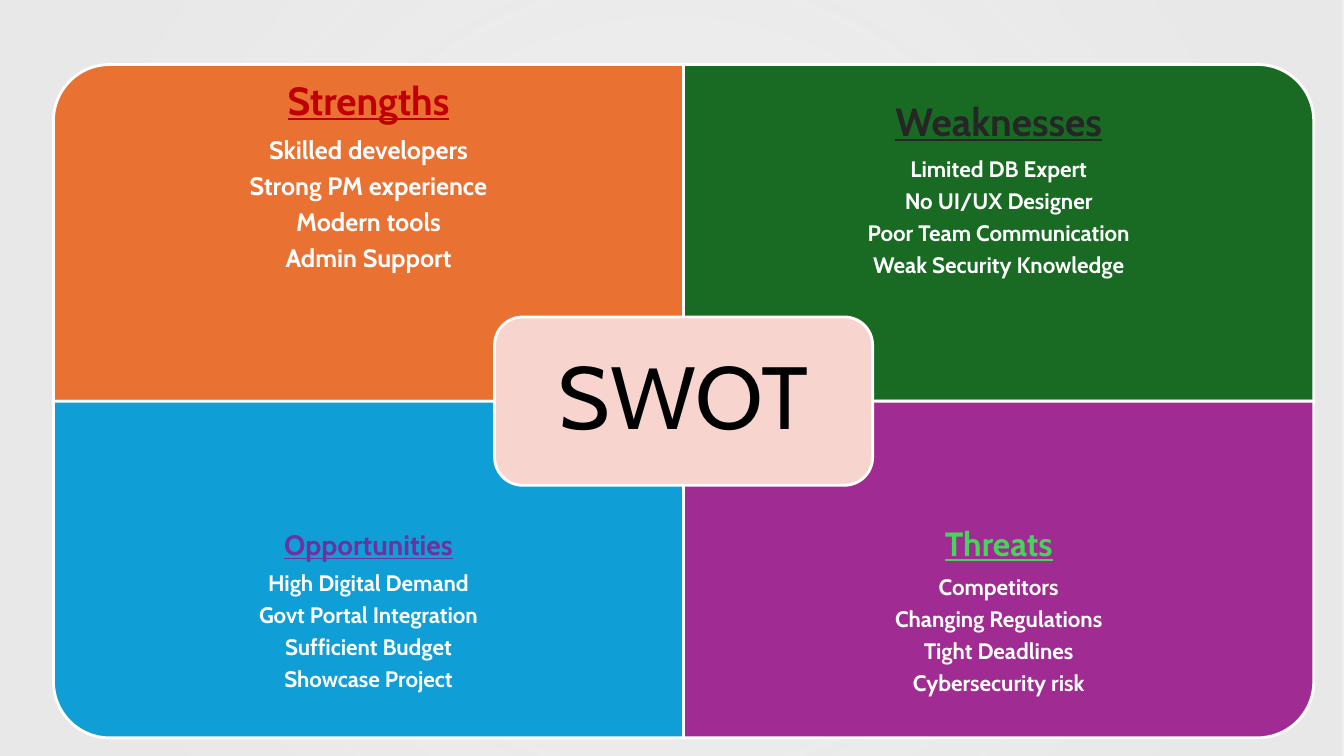
"""Build a SWOT matrix slide: four coloured quadrants around a central label."""
from dataclasses import dataclass

from lxml import etree
from pptx import Presentation
from pptx.dml.color import RGBColor
from pptx.enum.shapes import MSO_SHAPE
from pptx.enum.text import MSO_ANCHOR, PP_ALIGN
from pptx.oxml import parse_xml
from pptx.oxml.ns import qn
from pptx.shapes.autoshape import Shape
from pptx.slide import Slide
from pptx.text.text import TextFrame, _Paragraph
from pptx.util import Inches, Pt

RECT = MSO_SHAPE.RECTANGLE
ONE_ROUND = MSO_SHAPE.ROUND_1_RECTANGLE
ROUNDED = MSO_SHAPE.ROUNDED_RECTANGLE
CENTER = PP_ALIGN.CENTER
MIDDLE = MSO_ANCHOR.MIDDLE

SLIDE_W, SLIDE_H = 13.33, 7.5
LEFT, TOP = 0.53, 0.64
QUAD_W, QUAD_H = 6.25, 3.34
TEXT_H = 2.5
HUB_W, HUB_H = 3.75, 1.67


@dataclass(frozen=True)
class Theme:
    font: str = "Cabin"
    backdrop: str = "E8E8E8"
    line: str = "FFFFFF"
    body: str = "FFFFFF"
    hub: str = "F7D5CE"
    hub_text: str = "000000"
    hub_size: int = 63
    line_width: int = 2
    line_spacing: float = 0.9
    after_ratio: float = 0.35


@dataclass(frozen=True)
class Quadrant:
    col: int
    row: int
    rotation: int
    fill: str
    heading: str
    heading_color: str
    heading_size: int
    items: tuple[str, ...]
    item_size: int
    inset: float
    bottom_inset: float


THEME = Theme()

QUADRANTS = (
    Quadrant(0, 0, 270, "E97132", "Strengths", "C00000", 28,
             ("Skilled developers", "Strong PM experience", "Modern tools", "Admin Support"),
             18, 0.22, 0.49),
    Quadrant(1, 0, 0, "196B24", "Weaknesses", "262626", 28,
             ("Limited DB Expert", "No UI/UX Designer", "Poor Team Communication",
              "Weak Security Knowledge"),
             16, 0.22, 0.22),
    Quadrant(0, 1, 180, "0F9ED5", "Opportunities", "7030A0", 20,
             ("High Digital Demand", "Govt Portal Integration", "Sufficient Budget",
              "Showcase Project"),
             16, 0.16, 0.16),
    Quadrant(1, 1, 90, "A02B93", "Threats", "47D45A", 24,
             ("Competitors", "Changing Regulations", "Tight Deadlines", "Cybersecurity risk"),
             16, 0.19, 0.19),
)


def add_backdrop(s: Slide) -> None:
    """Cover the slide with a soft, translucent radial gradient."""
    sp = s.shapes.add_shape(RECT, 0, 0, Inches(SLIDE_W), Inches(SLIDE_H))
    sp.shadow.inherit = False
    sp.line.fill.background()
    sp.fill.gradient()
    grad = sp._element.spPr.find(qn("a:gradFill"))
    stops = "".join(
        f'<a:gs pos="{pos}000"><a:srgbClr val="{THEME.backdrop}">'
        f'<a:alpha val="{alpha}000"/></a:srgbClr></a:gs>'
        for pos, alpha in ((10, 68), (85, 97)))
    radial = parse_xml(
        '<a:gradFill xmlns:a="http://schemas.openxmlformats.org/drawingml/2006/main">'
        f'<a:gsLst>{stops}</a:gsLst><a:path path="circle">'
        '<a:fillToRect l="50000" t="50000" r="50000" b="50000"/></a:path></a:gradFill>')
    grad.getparent().replace(grad, radial)
    etree.cleanup_namespaces(radial)


def add_panel(s: Slide, kind: MSO_SHAPE, cx: float, cy: float, w: float, h: float,
              fill: str, rotation: int = 0) -> Shape:
    """Add an outlined panel centred on a point; w and h are its size as seen."""
    if rotation % 180:
        w, h = h, w
    sp = s.shapes.add_shape(kind, Inches(cx - w / 2), Inches(cy - h / 2), Inches(w), Inches(h))
    sp.rotation = rotation
    sp.shadow.inherit = False
    sp.fill.solid()
    sp.fill.fore_color.rgb = RGBColor.from_string(fill)
    sp.line.color.rgb = RGBColor.from_string(THEME.line)
    sp.line.width = Pt(THEME.line_width)
    return sp


def set_frame(tf: TextFrame, inset: float, bottom: float) -> None:
    """Wrap and vertically centre the text inside the given insets."""
    tf.word_wrap = True
    tf.vertical_anchor = MIDDLE
    tf.margin_left = tf.margin_right = tf.margin_top = Inches(inset)
    tf.margin_bottom = Inches(bottom)


def format_paragraph(p: _Paragraph, size: int, color: str, bold: bool = True,
                     underline: bool = False) -> None:
    """Centre a paragraph and style its run."""
    p.alignment = CENTER
    p.line_spacing = THEME.line_spacing
    p.space_after = Pt(size * THEME.after_ratio)
    r = p.runs[0]
    r.font.name = THEME.font
    r.font.size = Pt(size)
    r.font.bold = bold
    r.font.underline = underline
    r.font.color.rgb = RGBColor.from_string(color)


def add_quadrant(s: Slide, quad: Quadrant) -> None:
    """Draw one quadrant with its heading and items along the outer edge."""
    x, y = LEFT + quad.col * QUAD_W, TOP + quad.row * QUAD_H
    add_panel(s, ONE_ROUND, x + QUAD_W / 2, y + QUAD_H / 2, QUAD_W, QUAD_H,
              quad.fill, quad.rotation)
    text_y = y + quad.row * (QUAD_H - TEXT_H)
    tf = s.shapes.add_textbox(Inches(x), Inches(text_y), Inches(QUAD_W),
                              Inches(TEXT_H)).text_frame
    set_frame(tf, quad.inset, quad.bottom_inset)
    tf.text = "\n".join((quad.heading, *quad.items))
    heading, *items = tf.paragraphs
    format_paragraph(heading, quad.heading_size, quad.heading_color, underline=True)
    for p in items:
        format_paragraph(p, quad.item_size, THEME.body)


def add_hub(s: Slide) -> None:
    """Place the central label where the quadrants meet."""
    sp = add_panel(s, ROUNDED, LEFT + QUAD_W, TOP + QUAD_H, HUB_W, HUB_H, THEME.hub)
    tf = sp.text_frame
    set_frame(tf, 0.26, 0.26)
    tf.text = "SWOT"
    format_paragraph(tf.paragraphs[0], THEME.hub_size, THEME.hub_text, bold=False)


def main() -> None:
    """Create the slide and save the presentation."""
    prs = Presentation()
    prs.slide_width, prs.slide_height = Inches(SLIDE_W), Inches(SLIDE_H)
    s = prs.slides.add_slide(prs.slide_layouts[6])
    add_backdrop(s)
    for quad in QUADRANTS:
        add_quadrant(s, quad)
    add_hub(s)
    prs.save("out.pptx")


if __name__ == "__main__":
    main()
